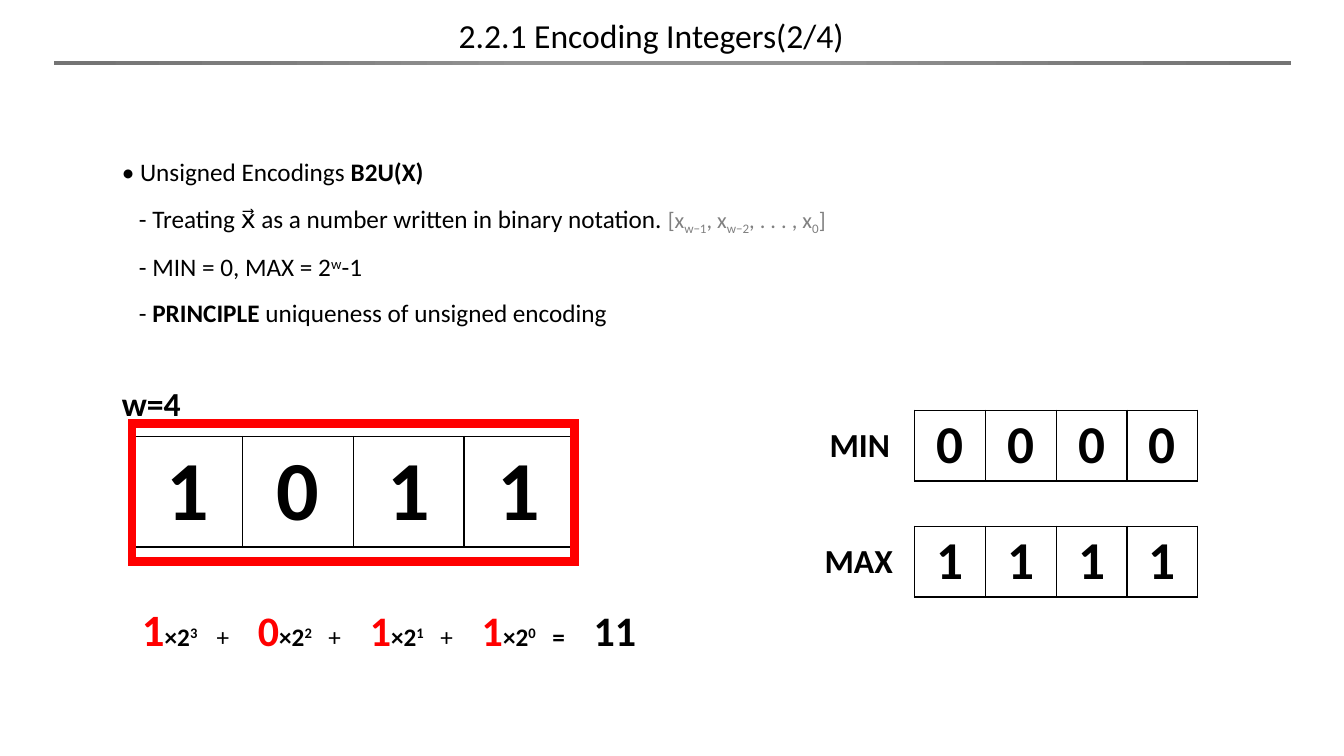
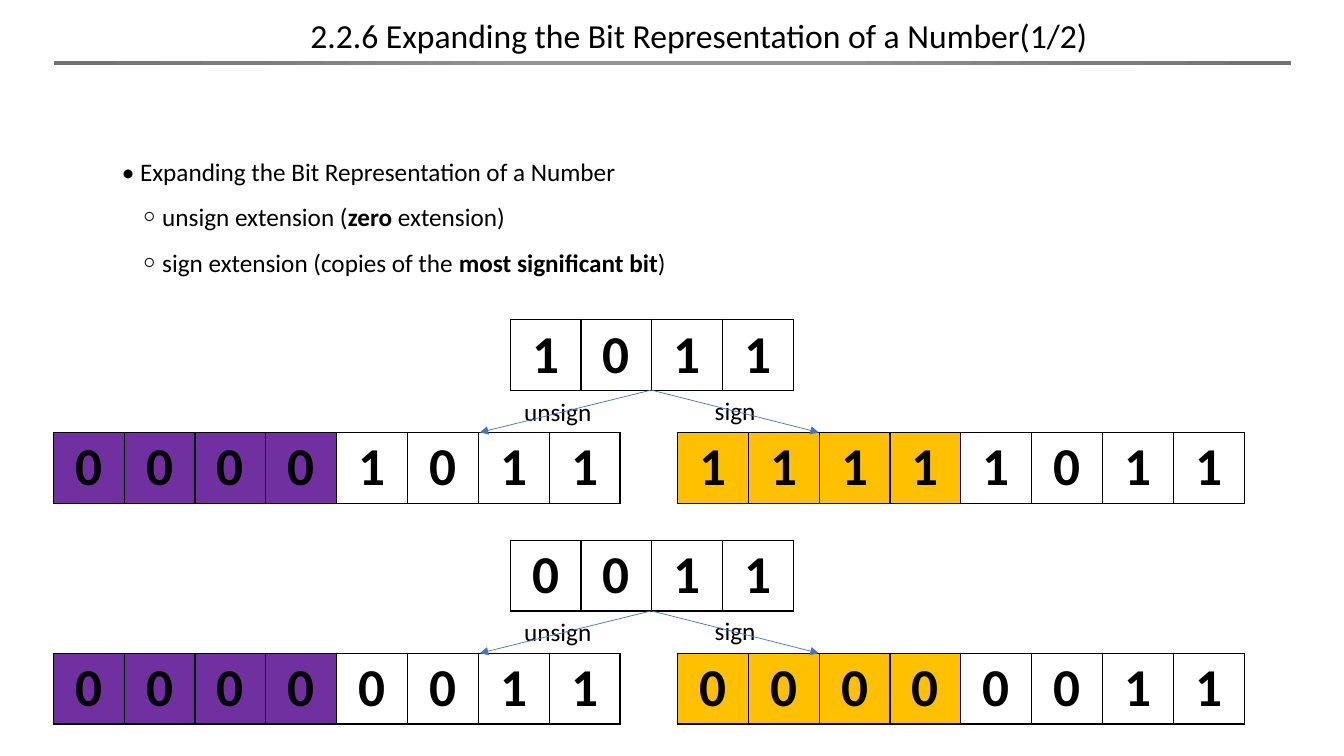
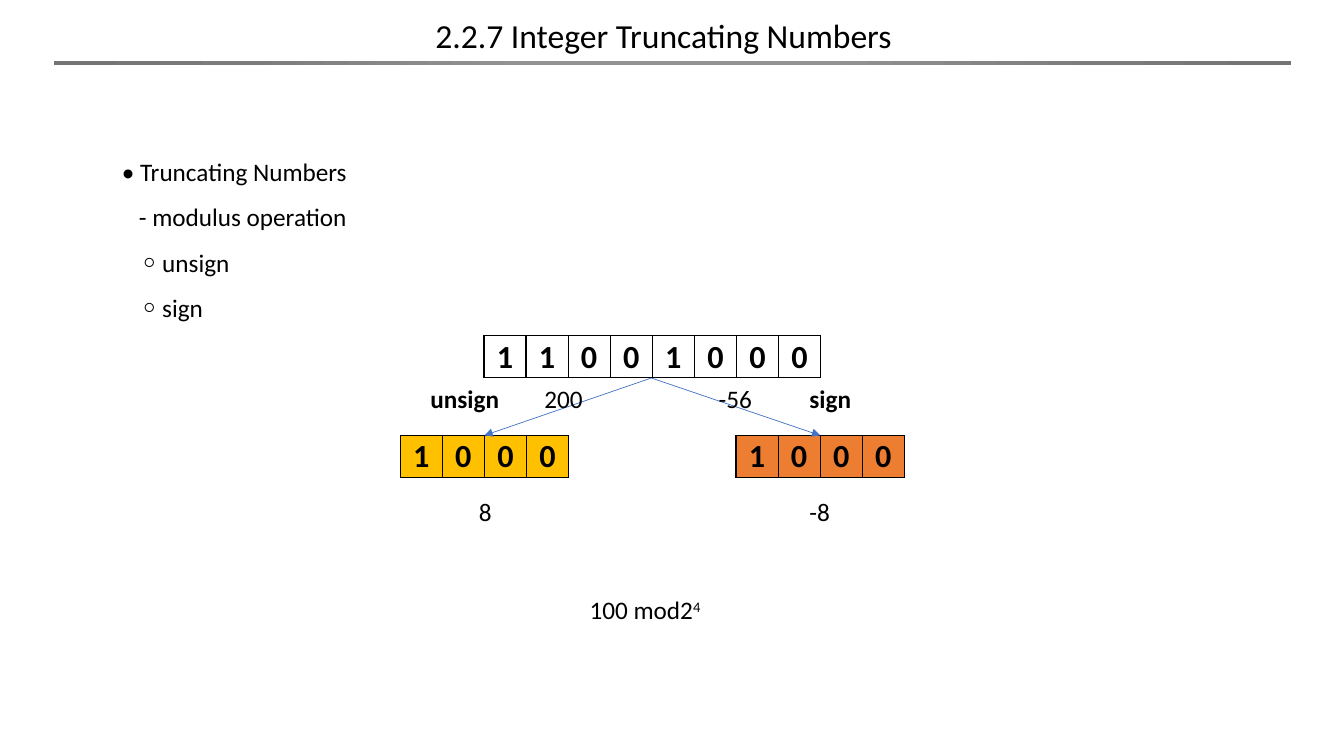
from lxml.etree import SubElement
from pptx import Presentation
from pptx.dml.color import RGBColor
from pptx.enum.shapes import MSO_CONNECTOR as Connector, MSO_SHAPE as Shape
from pptx.enum.text import MSO_AUTO_SIZE as AutoSize, PP_ALIGN as Align
from pptx.oxml import parse_xml
from pptx.oxml.ns import nsdecls, qn
from pptx.util import Inches, Pt

BLACK = RGBColor(0x00, 0x00, 0x00)
WHITE = RGBColor(0xFF, 0xFF, 0xFF)
RED = RGBColor(0xFF, 0x00, 0x00)
GRAY = RGBColor(0x80, 0x80, 0x80)
PURPLE = RGBColor(0x70, 0x30, 0xA0)
GOLD = RGBColor(0xFF, 0xC0, 0x00)
ORANGE = RGBColor(0xED, 0x7D, 0x31)
BLUE = RGBColor(0x44, 0x72, 0xC4)
RULE_STOPS = ((0, "939393"), (23, "939393"), (69, "7C7C7C"), (97, "747474"))

FONT = "Calibri"
BODY, TITLE = 18, 24
EDGE = 0.53
CONTENT_LEFT = 1.11
# widths of a four-bit row
LARGE, MEDIUM, SMALL = 4.39, 2.81, 1.67


def run(text, **style):
    """A piece of text with its own bold, size, color or baseline (percent)."""
    return text, style


def bold(text):
    return run(text, bold=True)


def add_runs(paragraph, pieces, size, is_bold=False):
    font = paragraph.font
    font.name, font.size, font.bold = FONT, Pt(size), is_bold
    font.color.rgb = BLACK
    for piece in pieces:
        text, style = (piece, {}) if isinstance(piece, str) else piece
        part = paragraph.add_run()
        part.text = text
        if "bold" in style:
            part.font.bold = style["bold"]
        if "size" in style:
            part.font.size = Pt(style["size"])
        if "color" in style:
            part.font.color.rgb = style["color"]
        if "baseline" in style:
            part._r.get_or_add_rPr().set("baseline", str(style["baseline"] * 1000))


def add_box(slide, left, top, width, height):
    box = slide.shapes.add_textbox(*map(Inches, (left, top, width, height)))
    box.text_frame.word_wrap = True
    box.text_frame.auto_size = AutoSize.SHAPE_TO_FIT_TEXT
    return box.text_frame


def add_label(slide, left, top, width, *pieces, size=BODY, is_bold=False):
    frame = add_box(slide, left, top, width, 0.5 if size == TITLE else 0.4)
    add_runs(frame.paragraphs[0], pieces, size, is_bold)


def add_outline(slide, lines):
    """A heading line followed by indented points."""
    frame = add_box(slide, CONTENT_LEFT, 1.35, 11.83, 0.1 + 0.45 * len(lines))
    for index, pieces in enumerate(lines):
        paragraph = frame.add_paragraph() if index else frame.paragraphs[0]
        paragraph.line_spacing = 1.5
        if index:
            indent = 0.22 if pieces[0].startswith("￮") else 0.17
            paragraph._p.get_or_add_pPr().set("marL", str(Inches(indent)))
        add_runs(paragraph, pieces, BODY)


def add_rectangle(slide, left, top, width, height, line_color, line_width):
    """An unfilled rectangle with sharp corners."""
    rectangle = slide.shapes.add_shape(
        Shape.RECTANGLE, *map(Inches, (left, top, width, height)))
    rectangle.shadow.inherit = False
    rectangle.fill.background()
    rectangle.line.color.rgb = line_color
    rectangle.line.width = Pt(line_width)
    SubElement(rectangle.line._get_or_add_ln(), qn("a:miter"), lim="800000")
    return rectangle


def add_title_rule(slide):
    rule = add_rectangle(slide, EDGE, 0.6, 12.28, 0.05, WHITE, 1)
    stops = "".join(f'<a:gs pos="{share * 1000}"><a:srgbClr val="{color}"/></a:gs>'
                    for share, color in RULE_STOPS)
    properties = rule._element.spPr
    properties.replace(properties.find(qn("a:noFill")), parse_xml(
        f'<a:gradFill {nsdecls("a")}><a:gsLst>{stops}</a:gsLst><a:path path="circle">'
        '<a:fillToRect l="50000" t="50000" r="50000" b="50000"/></a:path></a:gradFill>'))


def start_slide(deck, title, title_left, title_width):
    slide = deck.slides.add_slide(deck.slide_layouts[6])
    add_title_rule(slide)
    add_label(slide, title_left, 0.1, title_width, title, size=TITLE)
    return slide


def add_cell_borders(cell):
    properties = cell._tc.get_or_add_tcPr()
    for index, side in enumerate(("lnL", "lnR", "lnT", "lnB")):
        properties.insert(index, parse_xml(
            f'<a:{side} {nsdecls("a")} w="12700"><a:solidFill>'
            f'<a:srgbClr val="{BLACK}"/></a:solidFill></a:{side}>'))


def add_bits(slide, left, top, width, bits, fill=WHITE):
    """A row of square cells, one bit each, with text scaled to the cell."""
    side = width / len(bits)
    table = slide.shapes.add_table(
        1, len(bits), *map(Inches, (left, top, width, side))).table
    table.first_row = table.horz_banding = False
    for cell, bit in zip(table.rows[0].cells, bits):
        cell.margin_left = cell.margin_right = Inches(0.09 * side)
        cell.margin_top = cell.margin_bottom = Inches(0.04 * side)
        cell.fill.solid()
        cell.fill.fore_color.rgb = fill
        add_cell_borders(cell)
        paragraph = cell.text_frame.paragraphs[0]
        paragraph.alignment = Align.CENTER
        add_runs(paragraph, [bit], round(54.4 * side), True)


def add_arrow(slide, start, end):
    arrow = slide.shapes.add_connector(
        Connector.STRAIGHT, *map(Inches, (*start, *end)))
    arrow.line.color.rgb = BLUE
    arrow.line.width = Pt(0.5)
    SubElement(arrow.line._get_or_add_ln(), qn("a:tailEnd"), type="triangle")
    SubElement(arrow._element.spPr, qn("a:effectLst"))


def add_weighted_sum(slide, bits, total):
    """Bits times their powers of two, set on evenly spaced tab stops."""
    paragraph = add_box(slide, 1.31, 5.65, 5.84, 0.83).paragraphs[0]
    paragraph.line_spacing = 1.5
    pieces = []
    stops = SubElement(paragraph._p.get_or_add_pPr(), qn("a:tabLst"))
    for index, bit in enumerate(bits):
        power = len(bits) - 1 - index
        pieces += [run(bit, size=30 if index else 32, color=RED), "×2",
                   run(str(power), baseline=30),
                   run("\t+\t", bold=False) if power else "\t=\t"]
        for offset in (0.74, 1.15):
            SubElement(stops, qn("a:tab"), algn="l",
                       pos=str(Inches(offset + 1.11 * index)))
    add_runs(paragraph, pieces + [run(total, size=30)], BODY, True)


def build_encoding(deck):
    slide = start_slide(deck, "2.2.1 Encoding Integers(2/4)", 4.45, 4.03)

    def vector(text, baseline=0):
        return run(text, size=16, color=GRAY, baseline=baseline)

    add_outline(slide, [
        ["• Unsigned Encodings ", bold("B2U(X)")],
        ["- Treating x⃗ as a number written in binary notation. ",
         vector("[x"), vector("w−1", -25), vector(", x"), vector("w−2", -25),
         vector(", . . . , x"), vector("0", -25), vector("]")],
        ["- MIN = 0, MAX = 2", run("w", baseline=30), "-1"],
        ["-", bold(" PRINCIPLE "), "uniqueness of unsigned encoding"],
    ])
    add_bits(slide, 1.31, 4.33, LARGE, "1011")
    add_weighted_sum(slide, "1011", "11")
    add_rectangle(slide, 1.31, 4.2, LARGE, 1.37, RED, 6)
    add_label(slide, CONTENT_LEFT, 3.75, 0.98, "w=4", size=TITLE, is_bold=True)
    for name, left, top, bits in (("MIN", 8.13, 4.07, "0000"),
                                  ("MAX", 8.08, 5.22, "1111")):
        add_bits(slide, 9.07, top, MEDIUM, bits)
        add_label(slide, left, top + 0.09, 0.94, name, size=TITLE, is_bold=True)


def add_extension(slide, top, bits):
    """A four-bit number and its zero and sign extensions to eight bits."""
    add_bits(slide, 5.06, top, MEDIUM, bits)
    result_top = top + 1.12
    for left, prefix, fill in ((EDGE, "0000", PURPLE), (6.72, bits[0] * 4, GOLD)):
        add_bits(slide, left, result_top, MEDIUM, prefix, fill)
        add_bits(slide, left + MEDIUM, result_top, MEDIUM, bits)
    add_label(slide, 5.1, top + 0.71, 0.88, "unsign")
    add_label(slide, 6.99, top + 0.7, 0.68, "sign")
    for end in (4.76, 8.12):
        add_arrow(slide, (6.46, top + 0.7), (end, result_top))


def build_expanding(deck):
    slide = start_slide(
        deck, "2.2.6 Expanding the Bit Representation of a Number(1/2)", 2.98, 8.08)
    add_outline(slide, [
        ["• Expanding the Bit Representation of a Number"],
        ["￮ unsign extension (", bold("zero"), " extension)"],
        ["￮ sign extension (copies of the ", bold("most significant bit"), ")"],
    ])
    for block, bits in enumerate(("1011", "0011")):
        add_extension(slide, 3.17 + 2.19 * block, bits)


def build_truncating(deck):
    slide = start_slide(deck, "2.2.7 Integer Truncating Numbers", 4.22, 4.9)
    add_outline(slide, [["• Truncating Numbers"], ["- modulus operation"],
                        ["￮ unsign"], ["￮ sign"]])
    source_top, result_top, label_top = 3.33, 4.32, 3.75
    for index, bits in enumerate(("1100", "1000")):
        add_bits(slide, 4.8 + SMALL * index, source_top, SMALL, bits)
    for left, fill in ((3.97, GOLD), (7.3, ORANGE)):
        add_bits(slide, left, result_top, SMALL, "1000", fill)
        add_arrow(slide, (6.46, label_top), (left + SMALL / 2, result_top))
    for left, top, text in ((5.3, label_top, "200"), (7.03, label_top, "-56"),
                            (4.65, 4.87, "8"), (7.93, 4.87, "-8")):
        add_label(slide, left, top, 0.68, text)
    for left, text in ((4.17, "unsign"), (7.93, "sign")):
        add_label(slide, left, label_top, 0.88, text, is_bold=True)
    add_label(slide, 5.75, 5.85, 1.44, "100 mod2", run("4", baseline=30))


def main():
    deck = Presentation()
    deck.slide_width, deck.slide_height = Inches(13.33), Inches(7.5)
    build_encoding(deck)
    build_expanding(deck)
    build_truncating(deck)
    deck.save("out.pptx")


if __name__ == "__main__":
    main()
